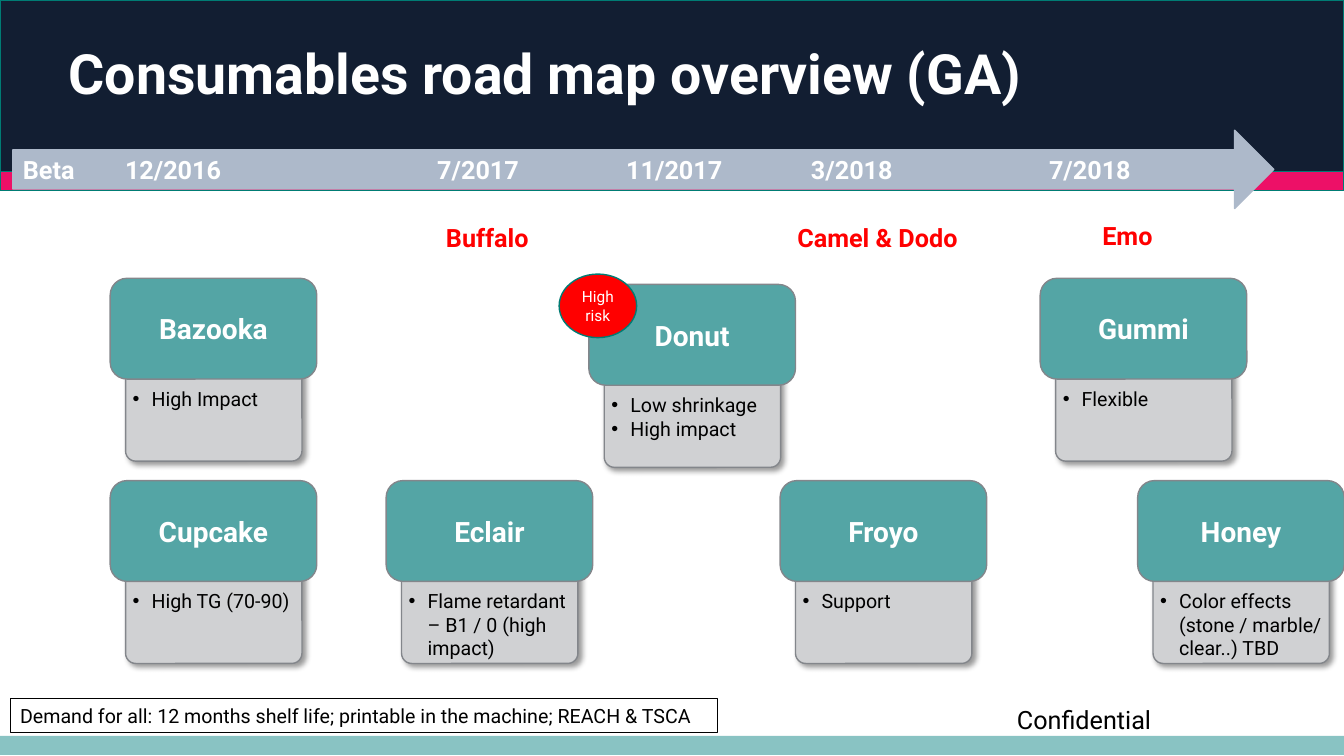
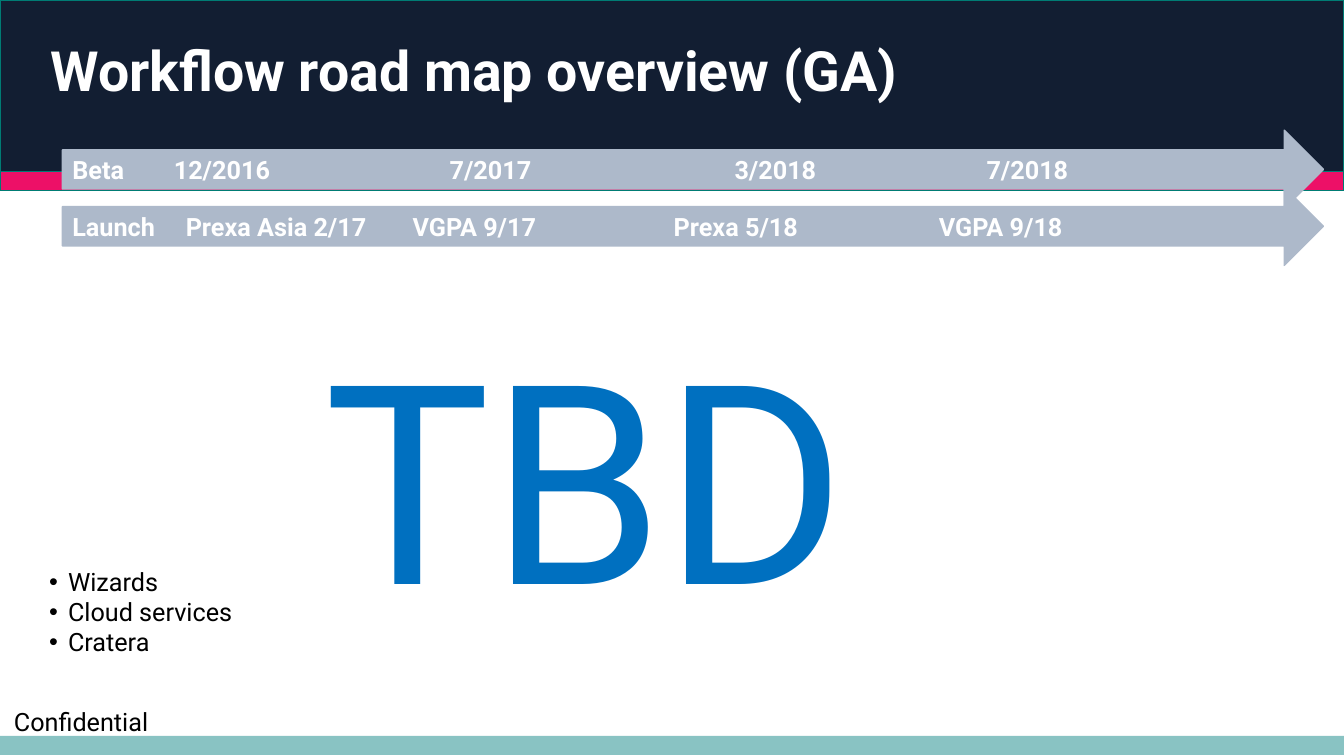
from lxml.etree import SubElement
from pptx import Presentation
from pptx.dml.color import RGBColor
from pptx.enum.shapes import MSO_SHAPE
from pptx.enum.text import MSO_ANCHOR, PP_ALIGN
from pptx.oxml.ns import qn
from pptx.util import Pt

COLORS = {
    "navy": "121E32",
    "pink": "ED1067",
    "teal": "54A5A5",
    "deep_teal": "007C74",
    "pale_teal": "89C3C3",
    "arrow": "ADB9CA",
    "card": "D0D1D3",
    "outline": "83868B",
    "red": "FF0000",
    "blue": "0070C0",
    "black": "000000",
    "white": "FFFFFF",
}


def rgb(name):
    return RGBColor.from_string(COLORS[name])


class Deck:
    font = "Roboto"
    width, height = 960, 540
    head_w, head_h = 147.6, 72
    body_dx, body_dy = 11, 58
    body_w, body_h = 126, 72.6

    def __init__(self):
        self.prs = Presentation()
        self.prs.slide_width = Pt(self.width)
        self.prs.slide_height = Pt(self.height)
        self.slide = None

    def new_slide(self, title, x, y):
        self.slide = self.prs.slides.add_slide(self.prs.slide_layouts[6])
        self.shape(MSO_SHAPE.RECTANGLE, 0, 122.4, self.width, 13.6, "pink", "deep_teal")
        self.shape(MSO_SHAPE.RECTANGLE, 0, 525.6, self.width, 13.6, "pale_teal")
        self.shape(MSO_SHAPE.RECTANGLE, 0, 0, self.width, 122.4, "navy", "deep_teal")
        s = self.text(title, x, y, 780, 57, 39.6, "white", bold=True)
        s.text_frame.margin_left = Pt(14.4)
        s.text_frame.vertical_anchor = MSO_ANCHOR.MIDDLE
        s.text_frame.paragraphs[0].line_spacing = 0.9

    def shape(self, kind, x, y, w, h, fill=None, line=None, line_width=1):
        s = self.slide.shapes.add_shape(kind, Pt(x), Pt(y), Pt(w), Pt(h))
        s.shadow.inherit = False
        if fill:
            s.fill.solid()
            s.fill.fore_color.rgb = rgb(fill)
        else:
            s.fill.background()
        if line:
            s.line.color.rgb = rgb(line)
            s.line.width = Pt(line_width)
        else:
            s.line.fill.background()
        return s

    def label(self, s, text, size, color, bold=False, align=PP_ALIGN.LEFT, anchor=MSO_ANCHOR.MIDDLE):
        tf = s.text_frame
        tf.text = text
        tf.word_wrap = True
        tf.vertical_anchor = anchor
        for p in tf.paragraphs:
            p.alignment = align
            for r in p.runs:
                r.font.name = self.font
                r.font.size = Pt(size)
                r.font.bold = bold
                r.font.color.rgb = rgb(color)

    def text(self, text, x, y, w, h, size, color, bold=False, align=PP_ALIGN.LEFT, wrap=True):
        s = self.slide.shapes.add_textbox(Pt(x), Pt(y), Pt(w), Pt(h))
        self.label(s, text, size, color, bold, align, MSO_ANCHOR.TOP)
        s.text_frame.word_wrap = wrap
        return s

    def bullets(self, s):
        for p in s.text_frame.paragraphs:
            pPr = p._p.get_or_add_pPr()
            pPr.set("marL", str(Pt(13.5)))
            pPr.set("indent", str(-Pt(13.5)))
            SubElement(pPr, qn("a:buFont"), typeface="Arial")
            SubElement(pPr, qn("a:buChar"), char="•")

    def drop_shadow(self, s):
        effects = s._element.spPr.find(qn("a:effectLst"))
        shadow = SubElement(effects, qn("a:outerShdw"), blurRad=str(Pt(4)),
                            dist=str(Pt(3)), dir="2700000", rotWithShape="0")
        color = SubElement(shadow, qn("a:srgbClr"), val=COLORS["black"])
        SubElement(color, qn("a:alpha"), val="40000")

    def timeline(self, x, y, name, stops):
        s = self.shape(MSO_SHAPE.RIGHT_ARROW, x, y, 900.7, 56, "arrow", "arrow")
        dates = [date for date, _ in stops]
        self.label(s, "\t".join([name] + dates), 18, "white", bold=True)
        pPr = s.text_frame.paragraphs[0]._p.get_or_add_pPr()
        tabs = SubElement(pPr, qn("a:tabLst"))
        for _, pos in stops:
            SubElement(tabs, qn("a:tab"), pos=str(Pt(pos)), algn="l")

    def card(self, name, details, x, y):
        body = self.shape(MSO_SHAPE.ROUNDED_RECTANGLE, x + self.body_dx, y + self.body_dy,
                          self.body_w, self.body_h, "card", "outline")
        body.adjustments[0] = 0.1
        self.drop_shadow(body)
        self.label(body, details, 14, "black", anchor=MSO_ANCHOR.TOP)
        tf = body.text_frame
        tf.margin_left, tf.margin_top, tf.margin_right = Pt(3), Pt(17.4), Pt(0)
        self.bullets(body)
        head = self.shape(MSO_SHAPE.ROUNDED_RECTANGLE, x, y, self.head_w, self.head_h,
                          "teal", "outline")
        self.label(head, name, 20, "white", bold=True, align=PP_ALIGN.CENTER)

    def badge(self, text, x, y, w, h):
        s = self.shape(MSO_SHAPE.OVAL, x, y, w, h, "red", "deep_teal")
        self.label(s, text, 11, "white", align=PP_ALIGN.CENTER)

    def note(self, text, x, y, w, h):
        s = self.shape(MSO_SHAPE.RECTANGLE, x, y, w, h, line="black", line_width=0.75)
        self.label(s, text, 14, "black", anchor=MSO_ANCHOR.TOP)

    def milestone(self, text, x, y, w):
        self.text(text, x, y, w, 29, 18, "red", bold=True, align=PP_ALIGN.CENTER, wrap=False)

    def confidential(self, x, y):
        self.text("Confidential", x, y, 236, 29, 18, "black")


def consumables(deck):
    deck.new_slide("Consumables road map overview (GA)", 34.6, 26)
    deck.timeline(9.2, 93, "Beta", [("12/2016", 73), ("7/2017", 296), ("11/2017", 431),
                                    ("3/2018", 563), ("7/2018", 733)])
    upper, lower = 198.8, 343.3
    for name, details, x, y in [
        ("Bazooka", "High Impact", 78.7, upper),
        ("Cupcake", "High TG (70-90)", 78.7, lower),
        ("Donut", "Low shrinkage\nHigh impact", 420.6, 203.2),
        ("Eclair", "Flame retardant – B1 / 0 (high impact)", 275.8, lower),
        ("Gummi", "Flexible", 743, upper),
        ("Honey", "Color effects (stone / marble/ clear..) TBD", 812.6, lower),
        ("Froyo", "Support", 557.2, lower),
    ]:
        deck.card(name, details, x, y)
    deck.note("Demand for all: 12 months shelf life; printable in the machine; REACH & TSCA",
              7.2, 499, 505.5, 24.3)
    deck.milestone("Buffalo", 309.6, 155.5, 77)
    deck.milestone("Camel & Dodo", 557.3, 155.5, 139)
    deck.milestone("Emo", 778.3, 154, 54)
    deck.badge("High risk", 399.4, 195.8, 55.4, 45.4)
    deck.confidential(719.3, 499.7)


def workflow(deck):
    deck.new_slide("Workflow road map overview (GA)", 21.6, 24)
    deck.timeline(44.6, 93, "Beta", [("12/2016", 72.5), ("7/2017", 269.5),
                                     ("3/2018", 473), ("7/2018", 653)])
    deck.timeline(44.6, 133.6, "Launch", [("Prexa Asia 2/17", 81), ("VGPA 9/17", 243),
                                          ("Prexa 5/18", 429.5), ("VGPA 9/18", 619)])
    s = deck.text("Wizards\nCloud services\nCratera", 28, 401, 148, 94, 18, "black", wrap=False)
    deck.bullets(s)
    deck.text("TBD", 224.6, 215.3, 417.6, 248.4, 199, "blue")
    deck.confidential(2.9, 501)


def main():
    deck = Deck()
    consumables(deck)
    workflow(deck)
    deck.prs.save("out.pptx")


if __name__ == "__main__":
    main()
